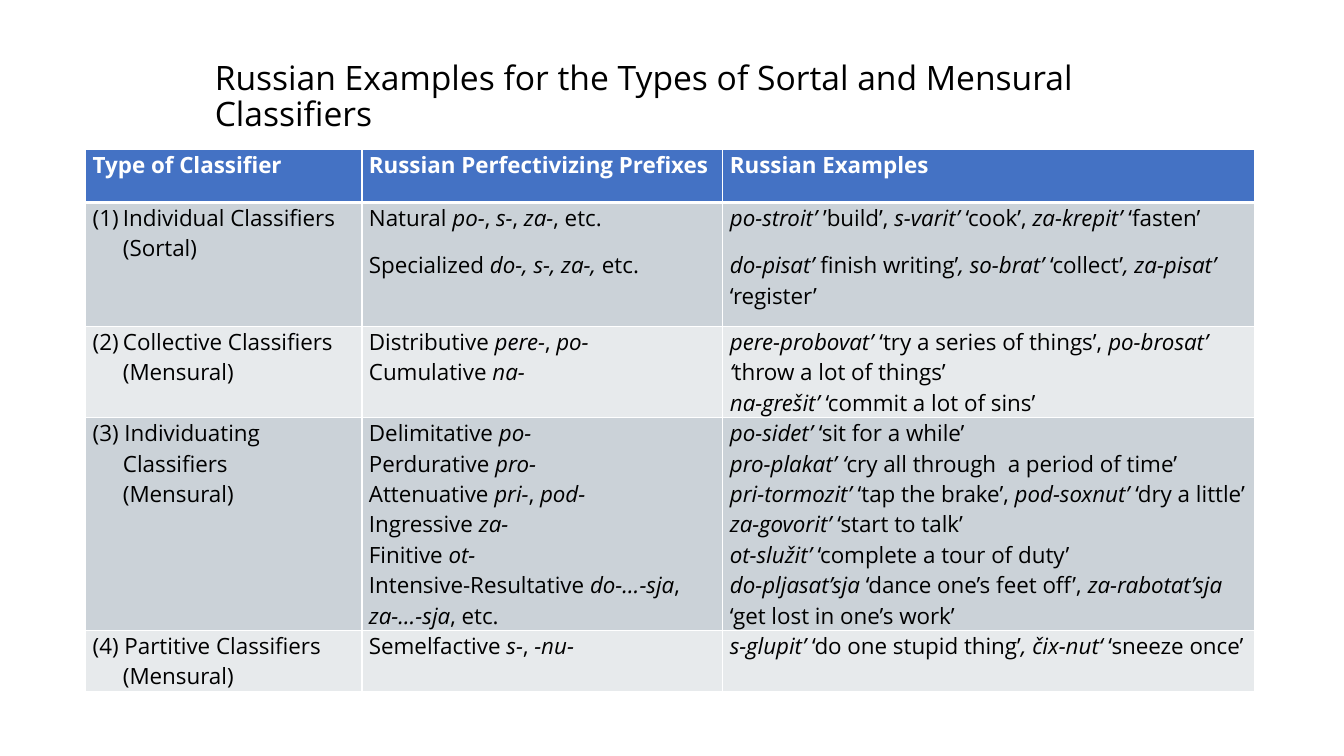
from dataclasses import dataclass

from lxml import etree
from pptx import Presentation
from pptx.dml.color import RGBColor
from pptx.enum import text
from pptx.oxml import ns
from pptx.util import Inches, Pt


@dataclass(frozen=True)
class Theme:
    font: str = "Open Sans"
    title_size: int = 24
    table_size: int = 16
    ink: str = "000000"
    white: str = "FFFFFF"
    header: str = "4472C4"
    bands: tuple = ("CBD2D8", "E7EAEC")
    line: int = 1
    heavy_line: int = 3


THEME = Theme()
TITLE = "Russian Examples for the Types of Sortal and Mensural Classifiers"
HEADERS = ("Type of Classifier", "Russian Perfectivizing Prefixes", "Russian Examples")
COLUMN_WIDTHS = (2.74, 3.58, 5.27)
ROW_HEIGHTS = (0.53, 1.23, 0.8, 1.87, 0.53)
HANG = 0.3

# Each row: classifier paragraphs, prefix paragraphs, example paragraphs.
# Asterisks enclose italics; a newline is a line break within a paragraph.
ROWS = (
    (
        ("(1)\tIndividual Classifiers", "(Sortal)"),
        ("Natural *po-*, *s-*, *za-*, etc.", "Specialized *do-, s-, za-, *etc."),
        (
            "*po-stroit’ *’build’, *s-varit’ *‘cook’, *za-krepit’* ‘fasten’",
            "*do-pisat’ *finish writing’*, so-brat’ *‘collect’*, za-pisat’ *‘register’",
        ),
    ),
    (
        ("(2)\tCollective Classifiers", "(Mensural)"),
        ("Distributive *pere-*, *po-*\nCumulative *na-*",),
        (
            "*pere-probovat’ *‘try a series of things’, *po-brosat’ ‘*throw a lot of things’\n"
            "*na-grešit’ *‘commit a lot of sins’",
        ),
    ),
    (
        ("(3) Individuating Classifiers", "(Mensural)"),
        (
            "Delimitative *po-*\n"
            "Perdurative *pro-*\n"
            "Attenuative *pri-*, *pod-*\n"
            "Ingressive *za-*\n"
            "Finitive *ot-*\n"
            "Intensive-Resultative *do-…-sja*, *za-…-sja*, etc.",
        ),
        (
            "*po-sidet’ *‘sit for a while’\n"
            "*pro-plakat’ ‘*cry all through  a period of time’\n"
            "*pri-tormozit’ *‘tap the brake’, *pod-soxnut’ *‘dry a little’\n"
            "*za-govorit’ *‘start to talk’\n"
            "*ot-služit’ *‘complete a tour of duty’\n"
            "*do-pljasat’sja *‘dance one’s feet off’, *za-rabotat’sja *‘get lost in one’s work’",
        ),
    ),
    (
        ("(4) Partitive Classifiers", "(Mensural)"),
        ("Semelfactive *s-*, *-nu-*",),
        ("*s-glupit’ *‘do one stupid thing’*, čix-nut‘ *‘sneeze once’",),
    ),
)


def style_font(font, size, color, bold=False, italic=False):
    font.name = THEME.font
    font.size = Pt(size)
    font.color.rgb = RGBColor.from_string(color)
    font.bold = bold
    font.italic = italic


def add_title(s):
    sp = s.shapes.title
    sp.left, sp.top, sp.width, sp.height = map(Inches, (2.03, 0.37, 9.77, 1.2))
    tf = sp.text_frame
    tf.text = TITLE
    tf.word_wrap = True
    tf.auto_size = text.MSO_AUTO_SIZE.NONE
    tf.vertical_anchor = text.MSO_ANCHOR.MIDDLE
    p = tf.paragraphs[0]
    p.alignment = text.PP_ALIGN.LEFT
    p.line_spacing = 0.9
    style_font(p.runs[0].font, THEME.title_size, THEME.ink)


def write_marked(p, marked, color, bold):
    """Fill a paragraph, turning *...* into italics and newlines into breaks."""
    for i, part in enumerate(marked.split("*")):
        for j, piece in enumerate(part.split("\n")):
            if j:
                p.add_line_break()
            if piece:
                r = p.add_run()
                r.text = piece
                style_font(r.font, THEME.table_size, color, bold, italic=i % 2 == 1)


def set_borders(cell, top, bottom):
    tc_pr = cell._tc.get_or_add_tcPr()
    widths = {"lnL": THEME.line, "lnR": THEME.line, "lnT": top, "lnB": bottom}
    for side, width in widths.items():
        ln = etree.SubElement(tc_pr, ns.qn(f"a:{side}"), w=str(Pt(width)))
        fill = etree.SubElement(ln, ns.qn("a:solidFill"))
        etree.SubElement(fill, ns.qn("a:srgbClr"), val=THEME.white)


def hang(p, first):
    p_pr = p._p.get_or_add_pPr()
    p_pr.set("marL", str(Inches(HANG)))
    p_pr.set("indent", str(Inches(-HANG if first else 0)))


def fill_cell(cell, paragraphs, row, hanging):
    header = row == 0
    set_borders(
        cell,
        top=THEME.heavy_line if row == 1 else THEME.line,
        bottom=THEME.heavy_line if header else THEME.line,
    )
    cell.fill.solid()
    fill = THEME.header if header else THEME.bands[(row - 1) % 2]
    cell.fill.fore_color.rgb = RGBColor.from_string(fill)
    cell.margin_left = cell.margin_right = Inches(0.07)
    cell.margin_top = cell.margin_bottom = 0
    tf = cell.text_frame
    for i, marked in enumerate(paragraphs):
        p = tf.add_paragraph() if i else tf.paragraphs[0]
        if hanging:
            hang(p, first=i == 0)
        else:
            p.space_before = Pt(6 if i else 0)
            p.space_after = Pt(6)
        write_marked(p, marked, THEME.white if header else THEME.ink, header)


def add_classifier_table(s):
    frame = s.shapes.add_table(
        len(ROW_HEIGHTS), len(COLUMN_WIDTHS), Inches(0.85), Inches(1.48),
        Inches(sum(COLUMN_WIDTHS)), Inches(sum(ROW_HEIGHTS)),
    )
    table = frame.table
    for column, width in zip(table.columns, COLUMN_WIDTHS):
        column.width = Inches(width)
    for row, height in zip(table.rows, ROW_HEIGHTS):
        row.height = Inches(height)
    contents = (tuple((header,) for header in HEADERS), *ROWS)
    for i, row in enumerate(contents):
        for j, paragraphs in enumerate(row):
            fill_cell(table.cell(i, j), paragraphs, i, hanging=i > 0 and j == 0)


def main():
    prs = Presentation()
    prs.slide_width, prs.slide_height = Inches(13.33), Inches(7.5)
    s = prs.slides.add_slide(prs.slide_layouts.get_by_name("Title Only"))
    add_title(s)
    add_classifier_table(s)
    prs.save("out.pptx")


if __name__ == "__main__":
    main()
